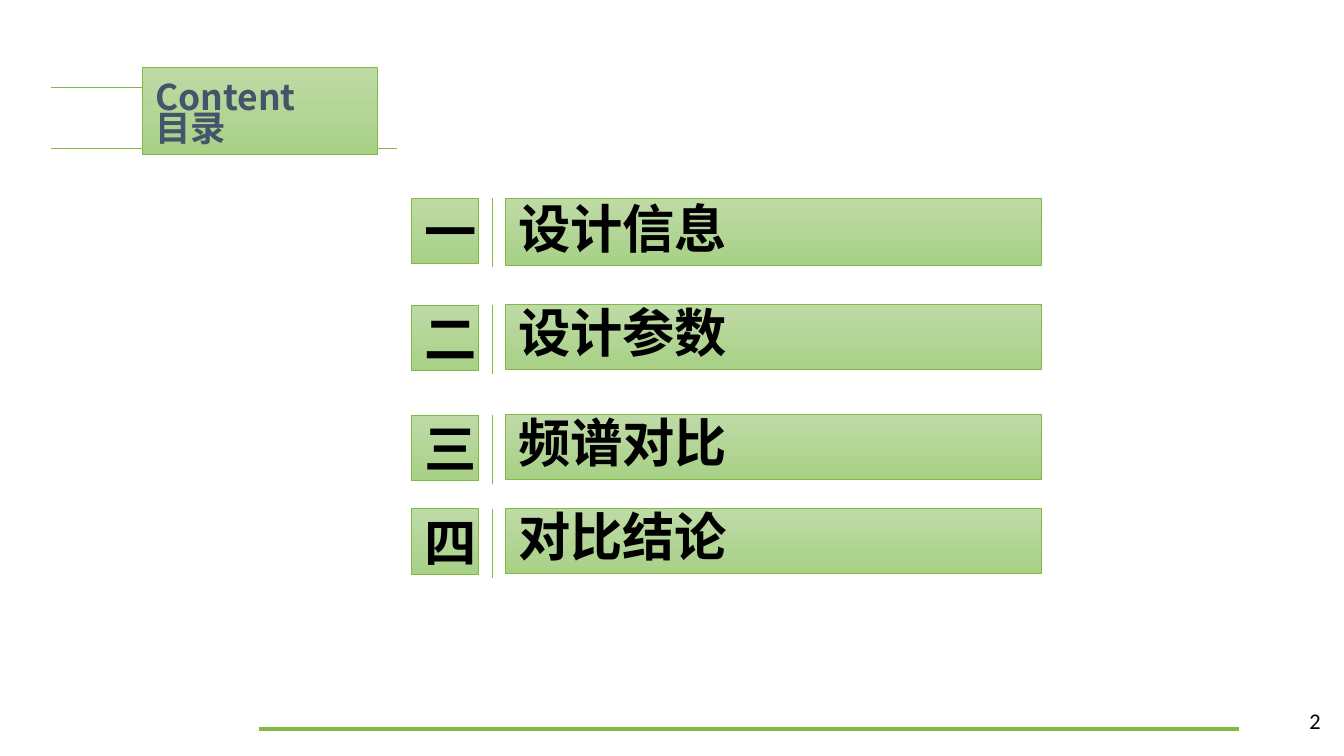
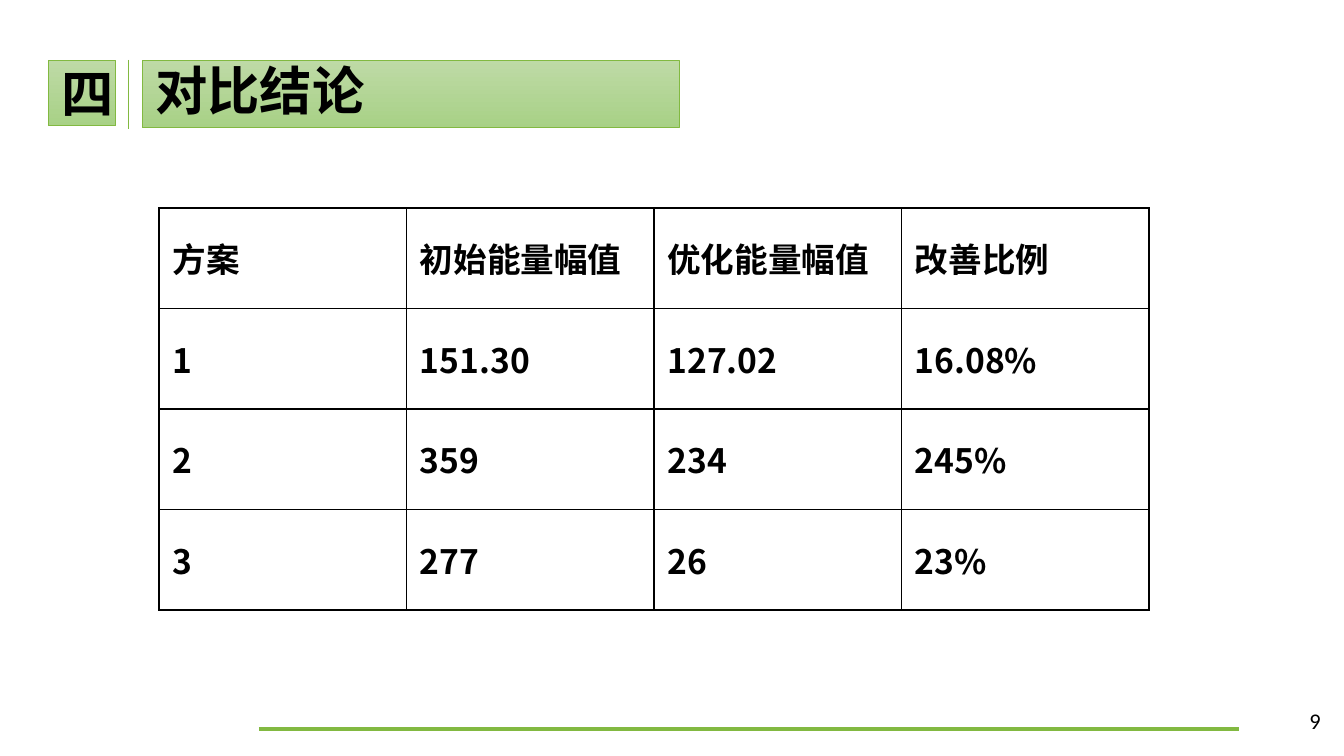
from lxml.etree import SubElement as Sub
from pptx import Presentation
from pptx.dml.color import RGBColor as RGB
from pptx.enum.shapes import MSO_CONNECTOR as CONN, MSO_SHAPE as SHAPE
from pptx.enum.text import MSO_ANCHOR as ANCHOR, MSO_AUTO_SIZE as AUTO, PP_ALIGN as ALIGN
from pptx.oxml import parse_xml
from pptx.oxml.ns import nsdecls, qn
from pptx.util import Emu, Pt

# Shared look
GREEN, LIGHT, DARK = "82B941", "BEDAA6", "A8D186"
BLACK, SLATE = "000000", "44546A"
CJK = "Noto Sans CJK SC"
SCALE = 914400 / 134.4

TOPICS = ["设计信息", "设计参数", "频谱对比", "对比结论"]
MARKS = "一二三四"
ROWS = [
    ["方案", "初始能量幅值", "优化能量幅值", "改善比例"],
    ["1", "151.30", "127.02", "16.08%"],
    ["2", "359", "234", "245%"],
    ["3", "277", "26", "23%"],
]


def px(n):
    return Emu(round(n * SCALE))


def color(code):
    return RGB.from_string(code)


def style(para, size, tint=BLACK, face=CJK, bold=True, align=ALIGN.LEFT):
    para.alignment = align
    font = para.font
    font.name, font.size, font.bold = face, Pt(size), bold
    font.color.rgb = color(tint)
    for run in para.runs:  # East Asian face
        Sub(run._r.get_or_add_rPr(), qn("a:ea"), typeface=face)


def write(frame, text, size, anchor, **look):
    frame.text = text
    frame.word_wrap = True
    frame.auto_size = AUTO.NONE
    frame.vertical_anchor = anchor
    for para in frame.paragraphs:
        style(para, size, **look)


def line(slide, x1, y1, x2, y2, width=0.5):
    rule = slide.shapes.add_connector(CONN.STRAIGHT, px(x1), px(y1), px(x2), px(y2))
    rule.line.color.rgb = color(GREEN)
    rule.line.width = Pt(width)
    Sub(rule.element.spPr, qn("a:effectLst"))
    return rule


def panel(shape, x, y, w, h):
    """Place a shape and give it the green gradient."""
    shape.left, shape.top, shape.width, shape.height = map(px, (x, y, w, h))
    shape.shadow.inherit = False
    shape.fill.gradient()
    shape.fill.gradient_angle = 270
    for stop, tint, spot in zip(shape.fill.gradient_stops, (LIGHT, DARK), (0, 1)):
        stop.color.rgb = color(tint)
        stop.position = spot
    shape.line.color.rgb = color(GREEN)
    shape.line.width = Pt(0.5)
    return shape.text_frame


def box(slide):
    return slide.shapes.add_shape(SHAPE.RECTANGLE, 0, 0, 0, 0)


def entry(slide, index, x, y, high, bar=None):
    """Numbered mark, divider and topic bar."""
    mark = panel(box(slide), x, y, 68, 66)
    write(mark, MARKS[index], 28, ANCHOR.MIDDLE)
    mark.margin_right = 0
    line(slide, x + 81, y, x + 81, y + 69)
    topic = panel(bar or box(slide), x + 94, y, 537, high)
    write(topic, TOPICS[index], 28, ANCHOR.BOTTOM)


def number(slide, value):
    frame = slide.shapes.add_textbox(px(1032), px(701), px(302), px(40)).text_frame
    write(frame, str(value), 12, ANCHOR.MIDDLE, face="Calibri", bold=False, align=ALIGN.RIGHT)


def border(cell):
    props = cell._tc.get_or_add_tcPr()
    for spot, side in enumerate("LRTB"):
        props.insert(spot, parse_xml(
            f'<a:ln{side} {nsdecls("a")} w="12700"><a:solidFill>'
            f'<a:srgbClr val="{BLACK}"/></a:solidFill></a:ln{side}>'))


def grid(slide, rows, x, y, w, h):
    table = slide.shapes.add_table(len(rows), len(rows[0]), px(x), px(y), px(w), px(h)).table
    table.first_row = table.horz_banding = False
    for r, row in enumerate(rows):
        for c, text in enumerate(row):
            cell = table.cell(r, c)
            cell.text = text
            cell.vertical_anchor = ANCHOR.MIDDLE
            cell.fill.background()
            style(cell.text_frame.paragraphs[0], 18)
            border(cell)


def contents(slide):
    line(slide, 51, 87, 153, 87)
    line(slide, 51, 148, 397, 148)
    title = slide.shapes.title
    frame = panel(title, 142, 67, 236, 88)
    write(frame, "Content\n目录", 19, ANCHOR.MIDDLE, tint=SLATE)
    frame.paragraphs[1].line_spacing = 0.7
    slide.shapes.element.append(title.element)  # in front of the lines
    for index, (y, high) in enumerate([(198, 68), (305, 65), (415, 65), (509, 65)]):
        entry(slide, index, 411, y, high)
    number(slide, 2)


def results(slide):
    entry(slide, 3, 48, 60, 68, slide.shapes.title)
    grid(slide, ROWS, 159, 208, 990, 402)
    number(slide, 9)


def main():
    prs = Presentation()
    prs.slide_width, prs.slide_height = px(1344), px(756)
    layout = prs.slide_layouts[5]
    first, second = (prs.slides.add_slide(layout) for _ in range(2))
    # The footer rule belongs to the master
    rule = line(first, 259, 729, 1239, 729, 2.25)
    prs.slide_master.shapes.element.append(rule.element)
    contents(first)
    results(second)
    prs.save("out.pptx")


main()
